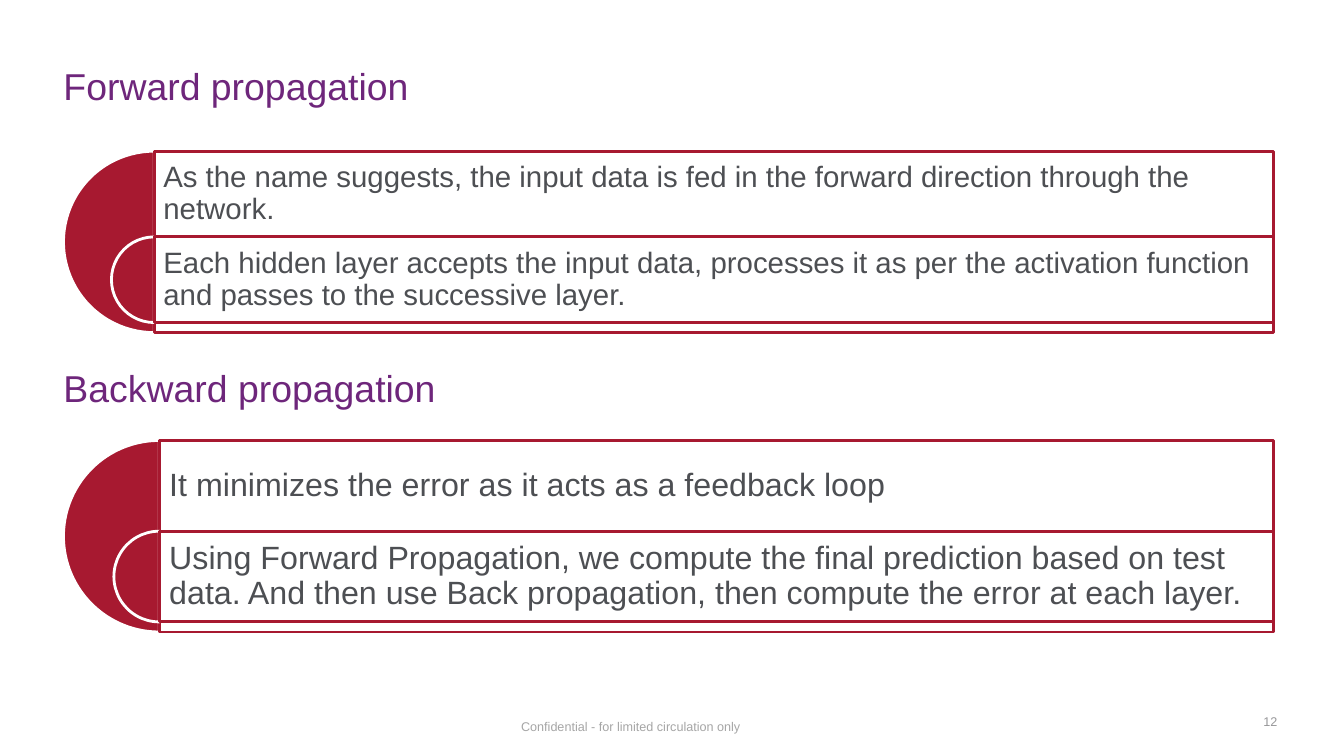
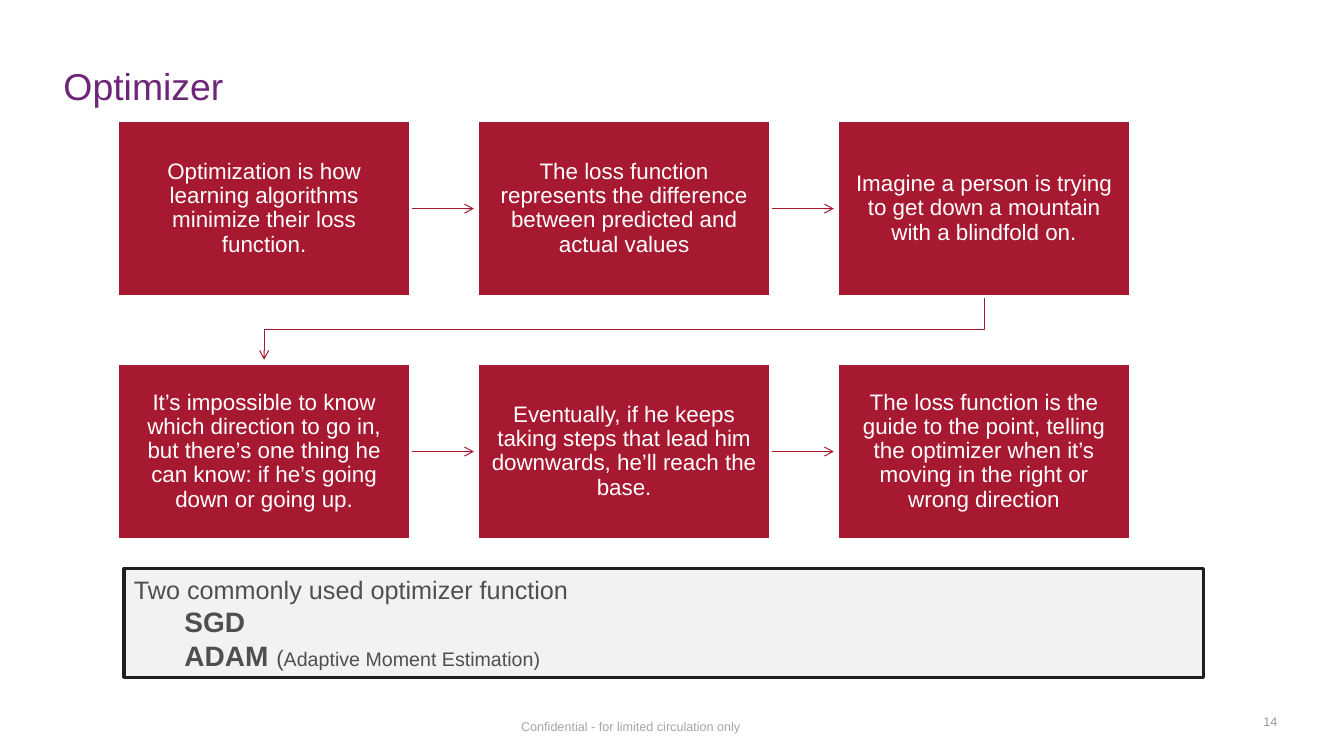
from lxml.etree import SubElement
from pptx import Presentation
from pptx.dml.color import RGBColor
from pptx.enum.shapes import MSO_CONNECTOR, MSO_SHAPE
from pptx.enum.text import MSO_ANCHOR, PP_ALIGN
from pptx.oxml.ns import qn
from pptx.util import Pt

PX = 9144
FONT = "Arial"
PURPLE = "6E267B"
CRIMSON = "A71930"
WHITE = "FFFFFF"
INK = "4D4F53"
FOOTER_GREY = "A6A6A6"
NUMBER_GREY = "979799"
PALE_GREY = "F2F2F2"
BLACK = "1F1F1F"
MARGIN = 63
RIGHT_EDGE = 1263

FORWARD_POINTS = [
    "As the name suggests, the input data is fed in the forward direction through the network.",
    "Each hidden layer accepts the input data, processes it as per the activation function "
    "and passes to the successive layer.",
]
BACKWARD_POINTS = [
    "It minimizes the error as it acts as a feedback loop",
    "Using Forward Propagation, we compute the final prediction based on test data. "
    "And then use Back propagation, then compute the error at each layer.",
]
OPTIMIZER_STEPS = [
    "Optimization is how learning algorithms minimize their loss function.",
    "The loss function represents the difference between predicted and actual values",
    "Imagine a person is trying to get down a mountain with a blindfold on.",
    "It’s impossible to know which direction to go in, but there’s one thing he can know: "
    "if he’s going down or going up.",
    "Eventually, if he keeps taking steps that lead him downwards, he’ll reach the base.",
    "The loss function is the guide to the point, telling the optimizer when it’s moving "
    "in the right or wrong direction",
]


def color(hex_string):
    return RGBColor.from_string(hex_string)


def px(*lengths):
    return [round(length * PX) for length in lengths]


def style_font(font, size, hex_string, bold=False):
    font.name = FONT
    font.size = Pt(size)
    font.bold = bold
    font.color.rgb = color(hex_string)


def set_frame(frame, insets, anchor=MSO_ANCHOR.MIDDLE, wrap=True):
    frame.word_wrap = wrap
    frame.vertical_anchor = anchor
    (frame.margin_left, frame.margin_top,
     frame.margin_right, frame.margin_bottom) = px(*insets)


def write(paragraph, text, size, hex_string, align=PP_ALIGN.LEFT, spacing=1.0):
    paragraph.text = text
    paragraph.alignment = align
    paragraph.line_spacing = spacing
    style_font(paragraph.font, size, hex_string)


def add_label(slide, box, text, size, hex_string, insets=(0, 5, 0, 5), align=PP_ALIGN.LEFT,
              anchor=MSO_ANCHOR.MIDDLE, wrap=True):
    frame = slide.shapes.add_textbox(*px(*box)).text_frame
    set_frame(frame, insets, anchor, wrap)
    write(frame.paragraphs[0], text, size, hex_string, align)


def add_block(slide, kind, box, fill, line, line_width=2):
    shape = slide.shapes.add_shape(kind, *px(*box))
    shape.shadow.inherit = False
    shape.fill.solid()
    shape.fill.fore_color.rgb = color(fill)
    shape.line.color.rgb = color(line)
    shape.line.width = Pt(line_width)
    return shape


def add_heading(slide, text, top=50):
    add_label(slide, (MARGIN, top, 1200, 70), text, 26.7, PURPLE)


def add_slide(presentation, title, number):
    slide = presentation.slides.add_slide(presentation.slide_layouts[6])
    add_label(slide, (507, 708, 240, 25), "Confidential - for limited circulation only", 9,
              FOOTER_GREY, (10, 5, 10, 5), anchor=MSO_ANCHOR.TOP, wrap=False)
    add_heading(slide, title)
    add_label(slide, (956, 696, 311, 40), number, 9, NUMBER_GREY, align=PP_ALIGN.RIGHT)
    return slide


def add_nested_panel(slide, top, diameter, row, padding, size, points):
    edge = MARGIN + diameter // 2
    for index, (height, text) in enumerate(zip((diameter, row), points)):
        y = top + index * row
        half_disc = add_block(slide, MSO_SHAPE.PIE, (edge - height / 2, y, height, height),
                              CRIMSON, WHITE)
        half_disc.adjustments[0] = 54
        half_disc.adjustments[1] = 162
        card = add_block(slide, MSO_SHAPE.RECTANGLE, (edge, y, RIGHT_EDGE - edge, height),
                         WHITE, CRIMSON)
        frame = card.text_frame
        set_frame(frame, (padding, padding, padding, padding + height - row))
        write(frame.paragraphs[0], text, size, INK, spacing=0.9)


def style_arrow(shape):
    shape.line.color.rgb = color(CRIMSON)
    shape.line.width = Pt(0.75)
    properties = shape._element.spPr
    SubElement(properties.get_or_add_ln(), qn("a:tailEnd"), type="arrow")
    SubElement(properties, qn("a:effectLst"))


def add_straight_arrow(slide, left, right, y):
    style_arrow(slide.shapes.add_connector(MSO_CONNECTOR.STRAIGHT, *px(left, y, right, y)))


def add_bent_arrow(slide, points):
    builder = slide.shapes.build_freeform(*points[0], scale=PX)
    builder.add_line_segments(points[1:], close=False)
    shape = builder.convert_to_shape()
    shape.fill.background()
    style_arrow(shape)


def add_step_flow(slide, steps):
    left, top, width, height = 117, 120, 290, 174
    column_step, row_step, columns, arrow = 357, 241, 3, 63
    middle = left + width // 2
    bottom = top + height
    last_middle = middle + (columns - 1) * column_step
    add_bent_arrow(slide, [(last_middle, bottom), (last_middle, bottom + 33),
                           (middle, bottom + 33), (middle, bottom + arrow)])
    for index, text in enumerate(steps):
        row, column = divmod(index, columns)
        x = left + column * column_step
        y = top + row * row_step
        if column < columns - 1:
            add_straight_arrow(slide, x + width, x + width + arrow, y + height // 2)
        card = add_block(slide, MSO_SHAPE.RECTANGLE, (x, y, width, height), CRIMSON, WHITE)
        set_frame(card.text_frame, (12, 12, 12, 12))
        write(card.text_frame.paragraphs[0], text, 16, WHITE, PP_ALIGN.CENTER, 0.9)


def add_summary(slide):
    box = add_block(slide, MSO_SHAPE.RECTANGLE, (123, 564, 1071, 108), PALE_GREY, BLACK, 2.25)
    frame = box.text_frame
    set_frame(frame, (10, 5, 10, 5))
    lines = [
        (0, [("Two commonly used optimizer function", 18, False)]),
        (50, [("SGD", 20, True)]),
        (50, [("ADAM ", 20, True), ("(", 16, False),
              ("Adaptive Moment Estimation)", 14, False)]),
    ]
    for index, (indent, runs) in enumerate(lines):
        paragraph = frame.add_paragraph() if index else frame.paragraphs[0]
        paragraph.alignment = PP_ALIGN.LEFT
        paragraph._p.get_or_add_pPr().set("marL", str(indent * PX))
        for text, size, bold in runs:
            run = paragraph.add_run()
            run.text = text
            style_font(run.font, size, INK, bold)


def main():
    presentation = Presentation()
    presentation.slide_width, presentation.slide_height = px(1333, 750)

    propagation = add_slide(presentation, "Forward propagation", "12")
    add_nested_panel(propagation, 150, 180, 85, 9, 21, FORWARD_POINTS)
    add_heading(propagation, "Backward propagation", 349)
    add_nested_panel(propagation, 437, 190, 90, 10, 23, BACKWARD_POINTS)

    optimizer = add_slide(presentation, "Optimizer", "14")
    add_step_flow(optimizer, OPTIMIZER_STEPS)
    add_summary(optimizer)

    presentation.save("out.pptx")


if __name__ == "__main__":
    main()
